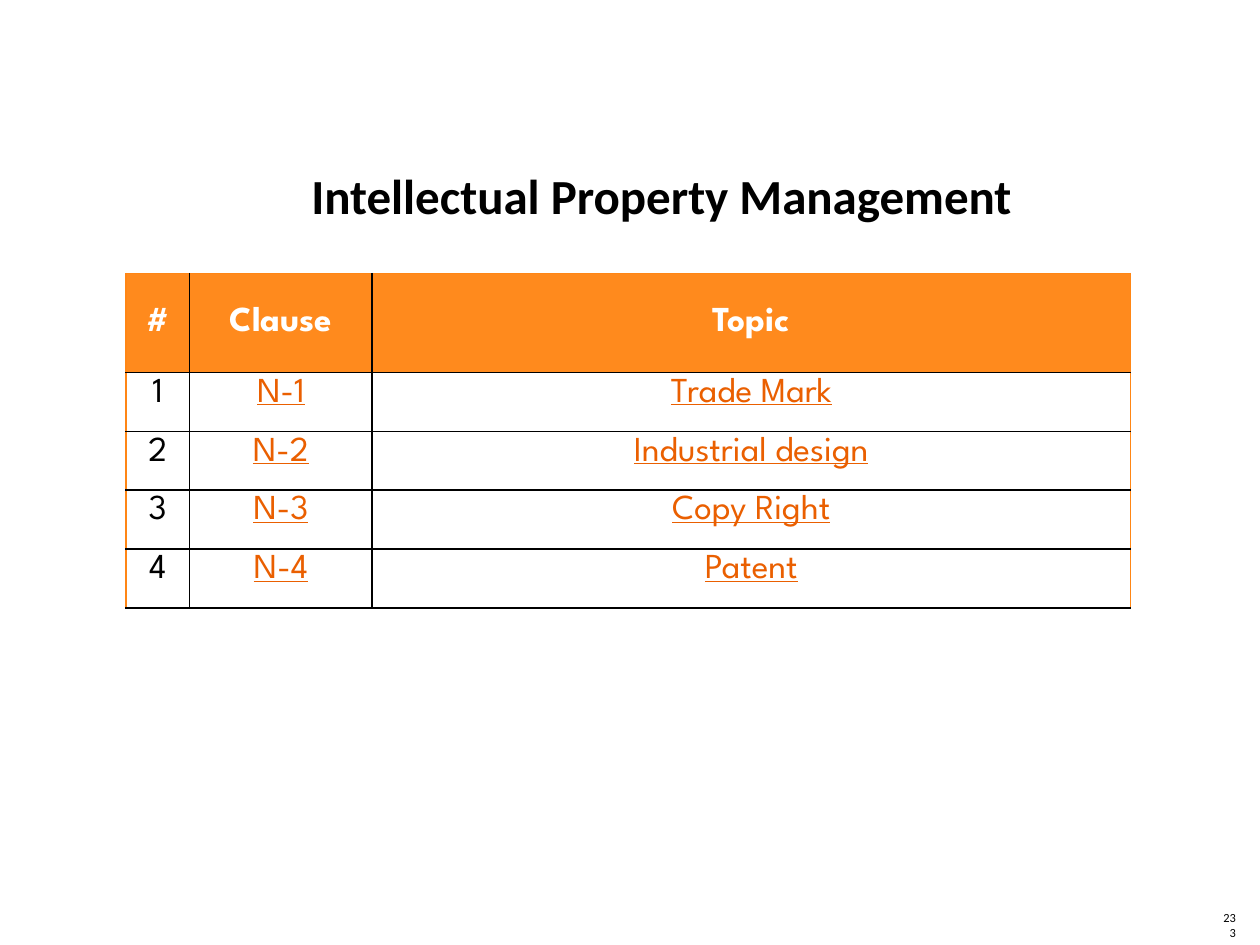
"""Build the slide listing the intellectual property management clauses."""
from dataclasses import dataclass

from lxml.etree import SubElement
from pptx import Presentation
from pptx.dml.color import RGBColor
from pptx.enum.text import MSO_ANCHOR, MSO_AUTO_SIZE, PP_ALIGN
from pptx.oxml.ns import qn
from pptx.util import Pt


@dataclass(frozen=True)
class Theme:
    black: str = "000000"
    white: str = "FFFFFF"
    header: str = "FF8A1D"
    edge: str = "FF8615"
    link: str = "EA5F00"
    text_font: str = "Calibri"
    table_font: str = "League Spartan"
    title_size: float = 28
    table_size: float = 20
    number_size: float = 7.1


theme = Theme()


def format_text(text_frame, font_name, size, color, alignment, bold=False, underline=False):
    paragraph = text_frame.paragraphs[0]
    paragraph.alignment = alignment
    font = paragraph.runs[0].font
    font.name = font_name
    font.size = Pt(size)
    font.bold = bold
    font.underline = underline
    font.color.rgb = RGBColor.from_string(color)


def add_borders(cell, borders):
    properties = cell._tc.get_or_add_tcPr()
    for position, (side, (color, width)) in enumerate(borders.items()):
        line = SubElement(properties, qn(f"a:ln{side}"), w=str(Pt(width)))
        fill = SubElement(line, qn("a:solidFill"))
        SubElement(fill, qn("a:srgbClr"), val=color)
        properties.insert(position, line)


presentation = Presentation()
presentation.slide_width, presentation.slide_height = Pt(720), Pt(540)
slide = presentation.slides.add_slide(presentation.slide_layouts[5])

title = slide.shapes.title
title.left, title.top, title.width, title.height = Pt(156.2), Pt(94.3), Pt(443.5), Pt(33.8)
title.fill.solid()
title.fill.fore_color.rgb = RGBColor.from_string(theme.white)
title.text_frame.text = "Intellectual Property Management"

number_box = slide.shapes.add_textbox(Pt(697.7), Pt(528.5), Pt(8.6), Pt(8.6))
number_box.text_frame.text = "233"

for shape, anchor_size, alignment, bold in (
    (title, theme.title_size, PP_ALIGN.CENTER, True),
    (number_box, theme.number_size, PP_ALIGN.RIGHT, False),
):
    text_frame = shape.text_frame
    text_frame.margin_left = text_frame.margin_right = Pt(0)
    text_frame.margin_top = text_frame.margin_bottom = Pt(0)
    text_frame.vertical_anchor = MSO_ANCHOR.BOTTOM
    text_frame.word_wrap = True
    text_frame.auto_size = MSO_AUTO_SIZE.NONE
    format_text(text_frame, theme.text_font, anchor_size, theme.black, alignment, bold)

topics = ["Trade Mark", "Industrial design", "Copy Right", "Patent"]
rows = [("#", "Clause", "Topic")]
rows += [(str(number), f"N-{number}", topic) for number, topic in enumerate(topics, 1)]
column_widths = [36.3, 104.4, 433.3]
row_heights = [56.6] + [33.7] * len(topics)

table = slide.shapes.add_table(
    len(rows), len(column_widths), Pt(72), Pt(156.2), Pt(sum(column_widths)), Pt(sum(row_heights))
).table
table.horz_banding = False
for column, width in zip(table.columns, column_widths):
    column.width = Pt(width)
for row, height in zip(table.rows, row_heights):
    row.height = Pt(height)

inner, outer = (theme.black, 1), (theme.edge, 0.75)
for row_index, values in enumerate(rows):
    is_header = row_index == 0
    for column_index, value in enumerate(values):
        is_link = not is_header and column_index > 0
        cell = table.cell(row_index, column_index)
        cell.text_frame.text = value
        cell.margin_left = cell.margin_right = Pt(5)
        cell.margin_top = cell.margin_bottom = Pt(3)
        cell.vertical_anchor = MSO_ANCHOR.MIDDLE if is_header else MSO_ANCHOR.TOP
        if is_header:
            cell.fill.solid()
            cell.fill.fore_color.rgb = RGBColor.from_string(theme.header)
        else:
            cell.fill.background()
        color = theme.white if is_header else theme.link if is_link else theme.black
        format_text(cell.text_frame, theme.table_font, theme.table_size, color,
                    PP_ALIGN.CENTER, bold=is_header, underline=is_link)
        add_borders(cell, {
            "L": outer if column_index == 0 else inner,
            "R": outer if column_index == len(values) - 1 else inner,
            "T": outer if is_header else inner,
            "B": inner,
        })

presentation.save("out.pptx")
